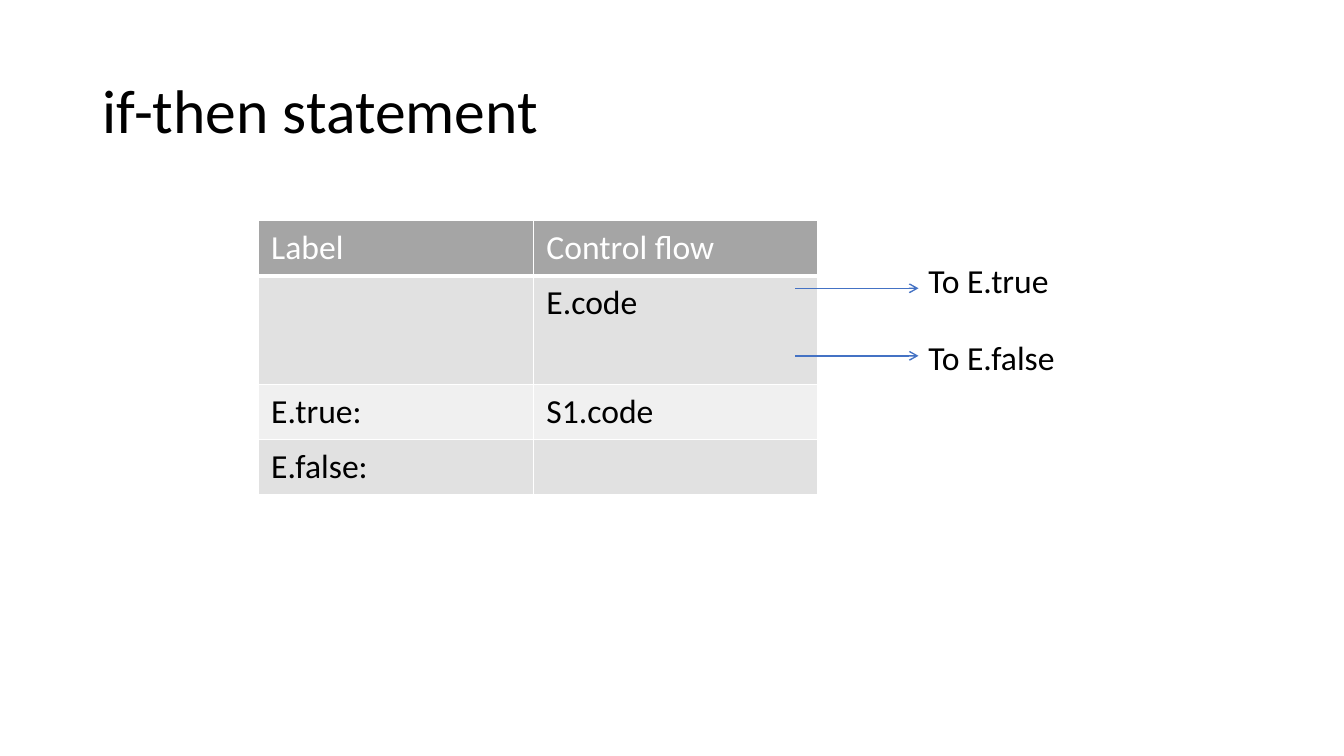
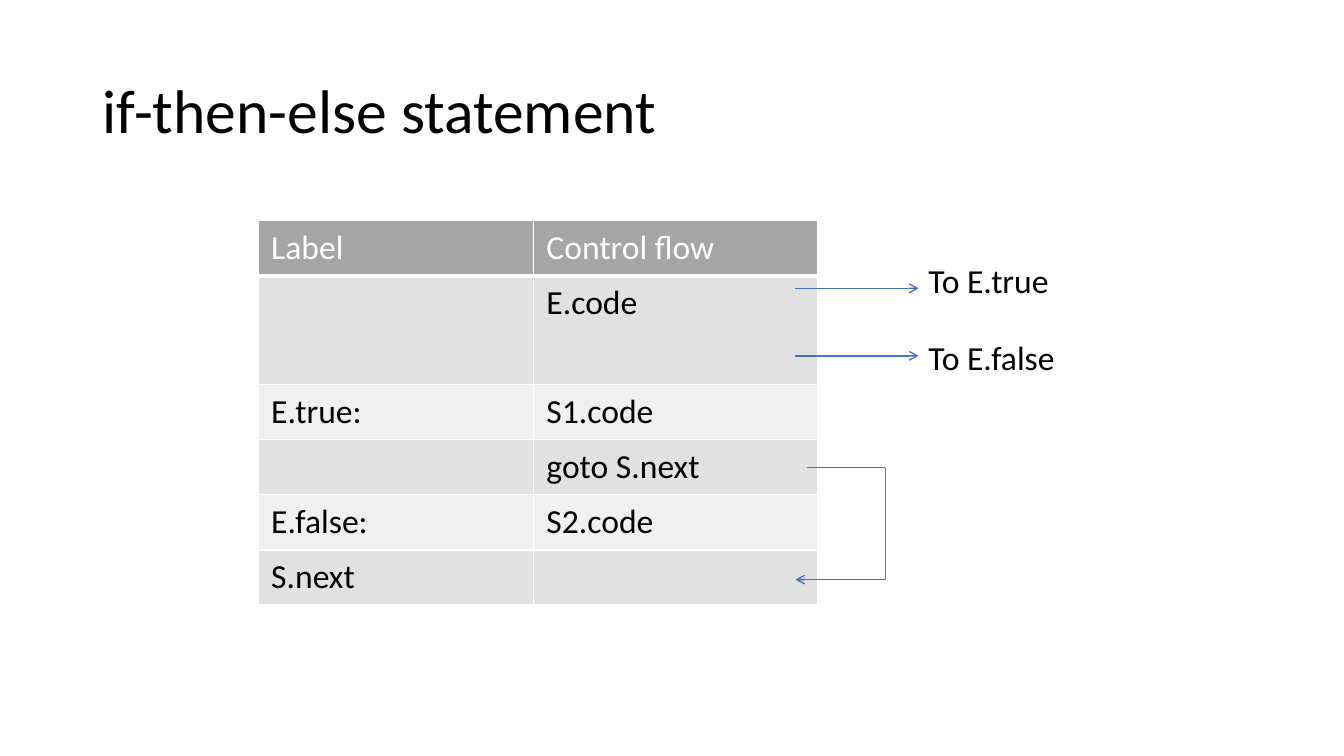
from itertools import pairwise

from lxml import etree
from pptx import Presentation
from pptx.dml.color import RGBColor
from pptx.enum.shapes import MSO_CONNECTOR
from pptx.enum.text import MSO_ANCHOR, MSO_AUTO_SIZE, PP_ALIGN
from pptx.oxml.ns import qn
from pptx.util import Inches, Pt

COLORS = {
    "text": "000000",
    "header_text": "FFFFFF",
    "header": "A5A5A5",
    "band_dark": "E1E1E1",
    "band_light": "F0F0F0",
    "border": "FFFFFF",
    "arrow": "4472C4",
}
TITLE_FORMAT = {"name": "Calibri", "size": Pt(44), "bold": False}
BODY_FORMAT = {"name": "Calibri", "size": Pt(24), "bold": False}
CELL_MARGINS = {
    "margin_left": Inches(0.13),
    "margin_right": Inches(0.13),
    "margin_top": Inches(0.07),
    "margin_bottom": Inches(0.07),
}
COLUMN_WIDTHS = (2.73, 2.82)
ROW_HEIGHT = 0.54
ARROW_TIP = 7.89

HEADER = ("Label", "Control flow")
STATEMENTS = {
    "if-then statement": [
        ("", "E.code"),
        ("E.true:", "S1.code"),
        ("E.false:", ""),
    ],
    "if-then-else statement": [
        ("", "E.code"),
        ("E.true:", "S1.code"),
        ("", "goto S.next"),
        ("E.false:", "S2.code"),
        ("S.next", ""),
    ],
}
# exit label, arrow height, label top
EXITS = [("To E.true", 2.86, 2.53), ("To E.false", 3.53, 3.29)]
GOTO_ROUTE = [(8, 4.64), (8.78, 4.64), (8.78, 5.75), (ARROW_TIP, 5.75)]


def set_attributes(target, values):
    for name, value in values.items():
        setattr(target, name, value)


class CodeLayoutDeck:
    def __init__(self):
        self.deck = Presentation()
        self.deck.slide_width = Inches(13.33)
        self.deck.slide_height = Inches(7.5)
        self.slide = None

    def color(self, name):
        return RGBColor.from_string(COLORS[name])

    def add_text(self, frame, text, style, color):
        paragraph = frame.paragraphs[0]
        if text:
            run = paragraph.add_run()
            run.text = text
            set_attributes(run.font, style)
            run.font.color.rgb = self.color(color)
        return paragraph

    def add_slide(self, heading):
        self.slide = self.deck.slides.add_slide(self.deck.slide_layouts[5])
        title = self.slide.shapes.title
        set_attributes(title, {
            "left": Inches(0.92), "top": Inches(0.4),
            "width": Inches(11.5), "height": Inches(1.45),
        })
        title.text_frame.vertical_anchor = MSO_ANCHOR.MIDDLE
        paragraph = self.add_text(title.text_frame, heading, TITLE_FORMAT, "text")
        set_attributes(paragraph, {"alignment": PP_ALIGN.LEFT, "line_spacing": 0.9})

    def add_borders(self, cell, bottom_width):
        properties = cell._tc.get_or_add_tcPr()
        widths = {"lnL": 1, "lnR": 1, "lnT": 1, "lnB": bottom_width}
        for position, (side, width) in enumerate(widths.items()):
            border = etree.Element(qn(f"a:{side}"), w=str(Pt(width)))
            fill = etree.SubElement(border, qn("a:solidFill"))
            etree.SubElement(fill, qn("a:srgbClr"), val=COLORS["border"])
            properties.insert(position, border)

    def add_code_table(self, rows):
        """Draw the header and the rows; the first code row is twice as high."""
        heights = [ROW_HEIGHT * (2 if index == 1 else 1) for index in range(len(rows) + 1)]
        table = self.slide.shapes.add_table(
            len(heights), len(HEADER), Inches(2.56), Inches(2.19),
            Inches(sum(COLUMN_WIDTHS)), Inches(sum(heights)),
        ).table
        table.horz_banding = False
        for column, width in zip(table.columns, COLUMN_WIDTHS):
            column.width = Inches(width)
        for index, (row, height, texts) in enumerate(zip(table.rows, heights, [HEADER, *rows])):
            row.height = Inches(height)
            is_header = index == 0
            band = "header" if is_header else "band_dark" if index % 2 else "band_light"
            for cell, text in zip(row.cells, texts):
                set_attributes(cell, CELL_MARGINS)
                cell.fill.solid()
                cell.fill.fore_color.rgb = self.color(band)
                self.add_borders(cell, 3 if is_header else 1)
                self.add_text(cell.text_frame, text, BODY_FORMAT,
                              "header_text" if is_header else "text")

    def add_line(self, start, end, arrow=False):
        line = self.slide.shapes.add_connector(
            MSO_CONNECTOR.STRAIGHT, *(Inches(length) for length in (*start, *end)))
        line.line.color.rgb = self.color("arrow")
        line.line.width = Pt(1)
        if arrow:
            etree.SubElement(line.line._get_or_add_ln(), qn("a:tailEnd"), type="arrow")
        etree.SubElement(line._element.spPr, qn("a:effectLst"))

    def add_route(self, points):
        """Join the points with lines and put an arrowhead on the last one."""
        for start, end in pairwise(points):
            self.add_line(start, end, arrow=end == points[-1])

    def add_label(self, text, left, top):
        frame = self.slide.shapes.add_textbox(
            Inches(left), Inches(top), Inches(1.67), Inches(0.5)).text_frame
        set_attributes(frame, {"word_wrap": True, "auto_size": MSO_AUTO_SIZE.SHAPE_TO_FIT_TEXT})
        self.add_text(frame, text, BODY_FORMAT, "text")


def main():
    slides = CodeLayoutDeck()
    exit_left = 9.11
    for heading, rows in STATEMENTS.items():
        slides.add_slide(heading)
        slides.add_code_table(rows)
        for text, arrow_y, label_top in EXITS:
            slides.add_line((ARROW_TIP, arrow_y), (exit_left, arrow_y), arrow=True)
            slides.add_label(text, exit_left, label_top)
        if ("", "goto S.next") in rows:
            slides.add_route(GOTO_ROUTE)
    slides.deck.save("out.pptx")


if __name__ == "__main__":
    main()
